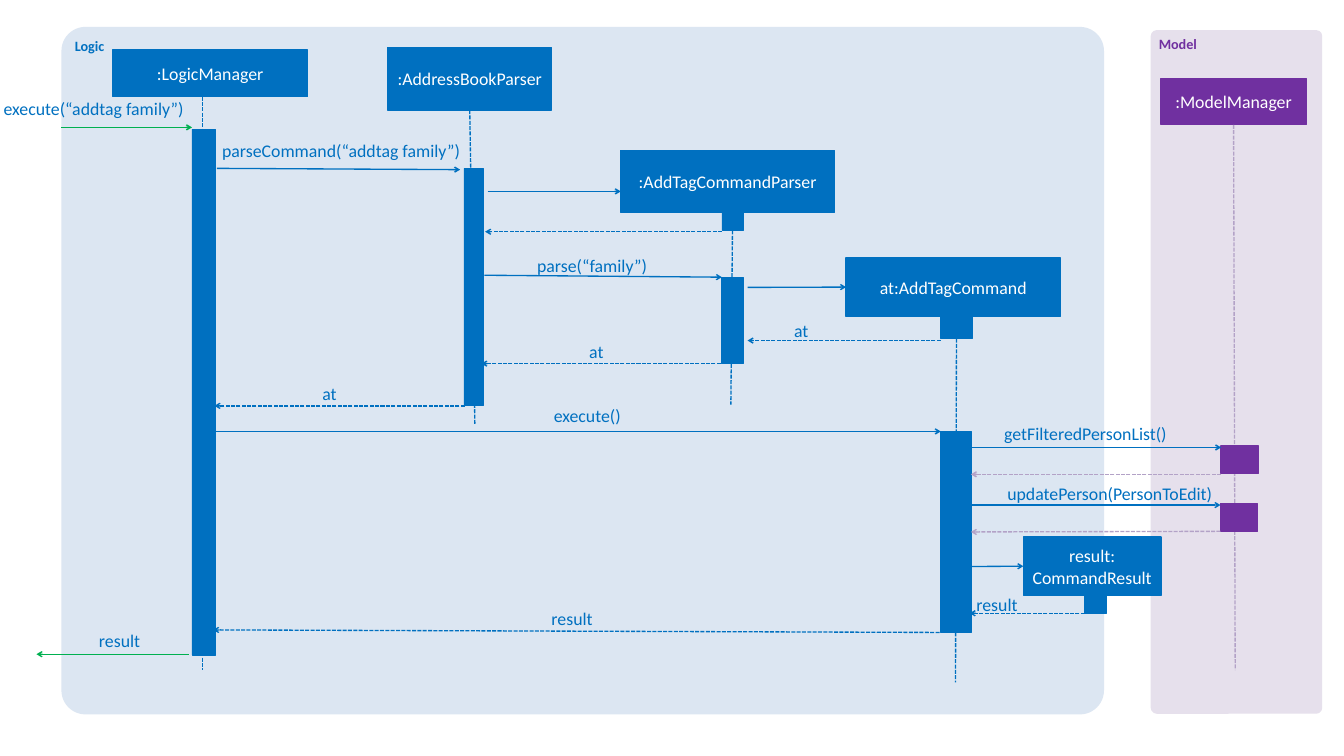
"""Build the sequence diagram for the addtag command."""
from math import dist
from lxml.etree import SubElement
from pptx import Presentation
from pptx.dml.color import RGBColor
from pptx.enum.dml import MSO_LINE as Dash
from pptx.enum.shapes import MSO_CONNECTOR as Connector, MSO_SHAPE as Shape
from pptx.enum.text import MSO_ANCHOR as Anchor, PP_ALIGN as Align
from pptx.oxml.ns import qn
from pptx.util import Cm, Pt

BLUE = RGBColor(0x00, 0x70, 0xC0)
PURPLE = RGBColor(0x70, 0x30, 0xA0)
GREEN = RGBColor(0x00, 0xB0, 0x50)
LAVENDER = RGBColor(0xB3, 0xA2, 0xC7)
PALE_BLUE = RGBColor(0xDC, 0xE6, 0xF2)
PALE_PURPLE = RGBColor(0xE6, 0xE0, 0xEC)
WHITE = RGBColor(0xFF, 0xFF, 0xFF)

SLIDE_SIZE = (21, 11.81)
LABEL_HEIGHT = 0.34
JOIN_DISTANCE = 0.05

PANELS = [
    ("Logic", (0.96, 0.42, 16.29, 10.74), PALE_BLUE, BLUE),
    ("Model", (17.98, 0.47, 2.68, 10.68), PALE_PURPLE, PURPLE),
]
PARTICIPANTS = [
    (":LogicManager", (1.76, 0.78, 3.05, 0.73), BLUE),
    (":AddressBookParser", (6.06, 0.74, 2.56, 0.98), BLUE),
    (":AddTagCommandParser", (9.7, 2.35, 3.34, 0.97), BLUE),
    ("at:AddTagCommand", (13.22, 4.03, 3.35, 0.91), BLUE),
    ("result: CommandResult", (15.99, 8.39, 2.15, 0.91), BLUE),
    (":ModelManager", (18.14, 1.23, 2.27, 0.72), PURPLE),
]
CREATIONS = [
    ((11.28, 3.32, 0.33, 0.28), BLUE, 0.75),
    ((14.7, 4.94, 0.49, 0.35), BLUE, 0.75),
    ((16.95, 9.3, 0.33, 0.28), BLUE, 0.75),
]
ACTIVATIONS = [
    ((3, 2.02, 0.37, 8.21), BLUE, 0.75),
    ((7.25, 2.63, 0.3, 3.71), BLUE, 0.75),
    ((11.27, 4.33, 0.34, 1.35), BLUE, 0.75),
    ((14.7, 6.74, 0.47, 3.14), BLUE, 0.75),
    ((19.08, 6.97, 0.58, 0.43), PURPLE, 1.5),
    ((19.07, 7.87, 0.58, 0.43), PURPLE, 1.5),
]
LIFELINES = [
    ((3.16, 1.51), (3.16, 10.47), BLUE),
    ((7.38, 1.74), (7.42, 6.62), BLUE),
    ((11.45, 3.6), (11.42, 6.32), BLUE),
    ((14.95, 5.29), (14.93, 10.66), BLUE),
    ((19.28, 1.95), (19.3, 10.47), LAVENDER),
]
CALLS = [
    ((0.96, 1.99), (3, 1.99), GREEN),
    ((3.39, 2.63), (7.19, 2.65), BLUE),
    ((7.62, 2.99), (9.7, 2.99), BLUE),
    ((7.57, 4.3), (11.28, 4.33), BLUE),
    ((11.68, 4.49), (13.22, 4.49), BLUE),
    ((3.35, 6.74), (14.7, 6.74), BLUE),
    ((15.19, 6.99), (19.08, 6.99), BLUE),
    ((15.17, 7.89), (19.07, 7.89), BLUE),
    ((15.15, 8.85), (15.99, 8.85), BLUE),
    ((2.95, 10.22), (0.57, 10.22), GREEN),
]
RETURNS = [
    ((11.28, 3.62), (7.58, 3.62), BLUE),
    ((14.7, 5.32), (11.68, 5.32), BLUE),
    ((11.26, 5.68), (7.52, 5.68), BLUE),
    ((7.26, 6.34), (3.35, 6.34), BLUE),
    ((19.08, 7.41), (15.17, 7.41), LAVENDER),
    ((19.07, 8.3), (15.15, 8.3), LAVENDER),
    ((17.12, 9.58), (15.15, 9.58), BLUE),
    ((14.68, 9.88), (3.33, 9.84), BLUE),
]
LABELS = [
    ("execute(“addtag family”)", -0.62, 1.52, 3.49),
    ("parseCommand(“addtag family”)", 2.86, 2.18, 4.33),
    ("parse(“family”)", 7.74, 3.98, 2.37),
    ("at", 11.64, 4.99, 0.99),
    ("at", 8.44, 5.33, 0.99),
    ("at", 4.27, 5.98, 0.99),
    ("execute()", 8.27, 6.32, 1.43),
    ("getFilteredPersonList()", 15.58, 6.6, 2.65),
    ("updatePerson(PersonToEdit)", 15.63, 7.54, 3.31),
    ("result", 14.91, 9.27, 0.99),
    ("result", 8.27, 9.5, 0.99),
    ("result", 1.2, 9.84, 0.99),
]


def inches(value):
    return Cm(value * 2.54)


def write(shape, text, color, align, frame_format, size=20, bold=False):
    frame = shape.text_frame
    for name, value in {"word_wrap": True, **frame_format}.items():
        setattr(frame, name, value)
    paragraph = frame.paragraphs[0]
    paragraph.text = text
    paragraph.alignment = align
    font_format = {"name": "Calibri", "size": Pt(size), "bold": bold}
    for name, value in font_format.items():
        setattr(paragraph.runs[0].font, name, value)
    paragraph.runs[0].font.color.rgb = color


def add_block(shapes, kind, area, fill, line_width=None):
    block = shapes.add_shape(kind, *map(inches, area))
    block.shadow.inherit = False
    block.fill.solid()
    block.fill.fore_color.rgb = fill
    if line_width:
        block.line.color.rgb = fill
        block.line.width = Pt(line_width)
    else:
        block.line.fill.background()
    return block


def side_middles(area):
    left, top, width, height = area
    center, middle = left + width / 2, top + height / 2
    return [(center, top), (left, middle), (center, top + height), (left + width, middle)]


def add_line(shapes, blocks, start, end, color, dashed=False, arrow=True):
    line = shapes.add_connector(Connector.STRAIGHT, *map(inches, start + end))
    line.line.color.rgb = color
    line.line.width = Pt(1.5)
    if dashed:
        line.line.dash_style = Dash.SQUARE_DOT
    if arrow:
        SubElement(line.line._get_or_add_ln(), qn("a:tailEnd"), type="arrow")
    SubElement(line._element.spPr, qn("a:effectLst"))
    for point, connect in ((start, line.begin_connect), (end, line.end_connect)):
        sites = [(dist(point, site), block, index) for block, area in blocks
                 for index, site in enumerate(side_middles(area))]
        gap, block, index = min(sites, key=lambda found: found[0])
        if gap < JOIN_DISTANCE:
            connect(block, index)


def main():
    deck = Presentation()
    deck.slide_width, deck.slide_height = map(inches, SLIDE_SIZE)
    shapes = deck.slides.add_slide(deck.slide_layouts[6]).shapes
    blocks = []

    for name, area, fill, color in PANELS:
        panel = add_block(shapes, Shape.ROUNDED_RECTANGLE, area, fill)
        panel.adjustments[0] = 0.035
        write(panel, name, color, Align.LEFT, {"vertical_anchor": Anchor.TOP}, 16, True)
    for name, area, fill in PARTICIPANTS:
        participant = add_block(shapes, Shape.RECTANGLE, area, fill, 1.5)
        write(participant, name, WHITE, Align.CENTER, {"vertical_anchor": Anchor.MIDDLE})
        blocks.append((participant, area))
    for area, fill, width in CREATIONS:
        blocks.append((add_block(shapes, Shape.RECTANGLE, area, fill, width), area))
    for lifeline in LIFELINES:
        add_line(shapes, blocks, *lifeline, dashed=True, arrow=False)
    for area, fill, width in ACTIVATIONS:
        blocks.append((add_block(shapes, Shape.RECTANGLE, area, fill, width), area))
    for messages, dashed in ((CALLS, False), (RETURNS, True)):
        for message in messages:
            add_line(shapes, blocks, *message, dashed=dashed)

    no_margins = dict.fromkeys(("margin_left", "margin_top", "margin_right", "margin_bottom"), 0)
    for text, left, top, width in LABELS:
        label = shapes.add_textbox(*map(inches, (left, top, width, LABEL_HEIGHT)))
        write(label, text, BLUE, Align.RIGHT, no_margins)

    deck.save("out.pptx")


if __name__ == "__main__":
    main()
